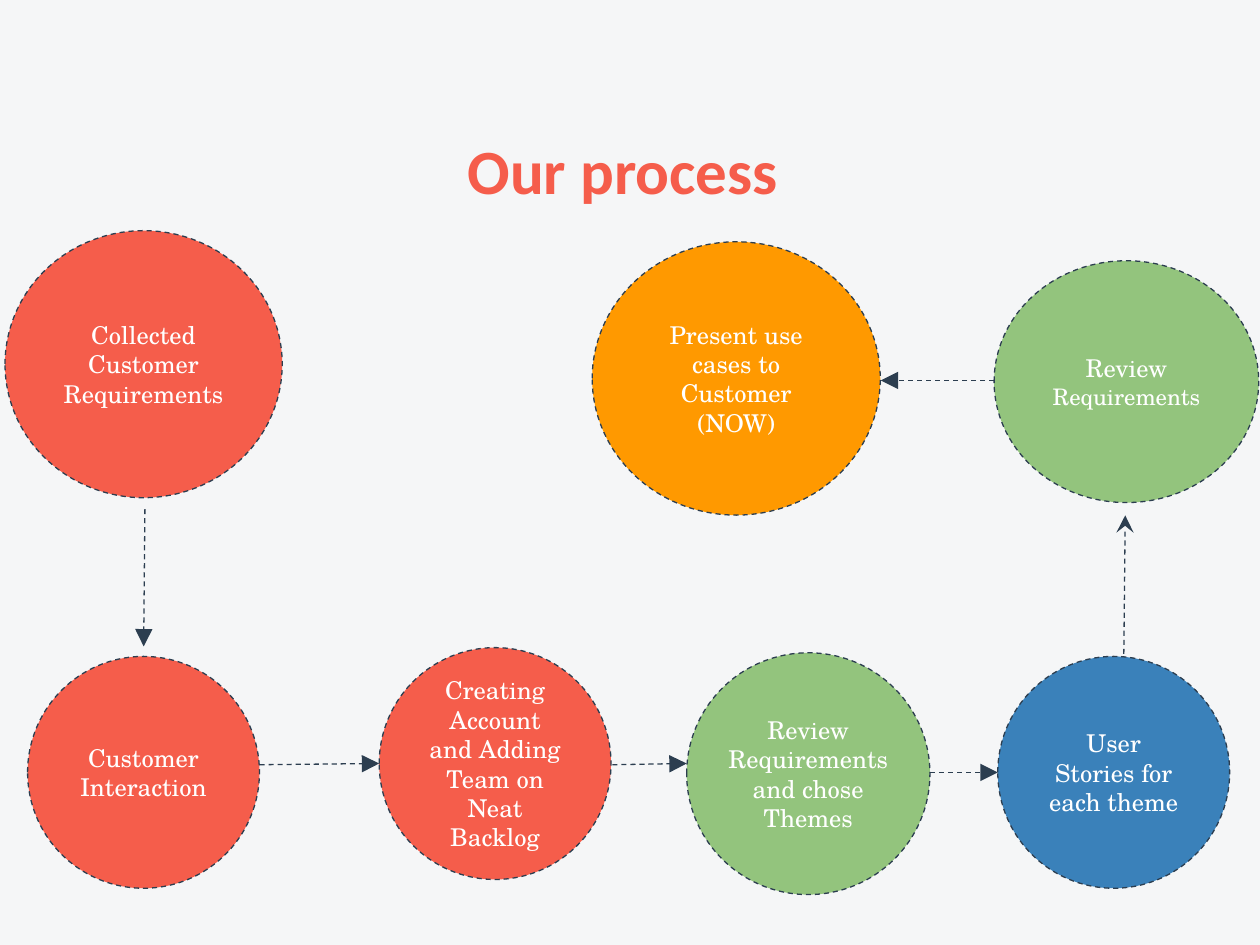
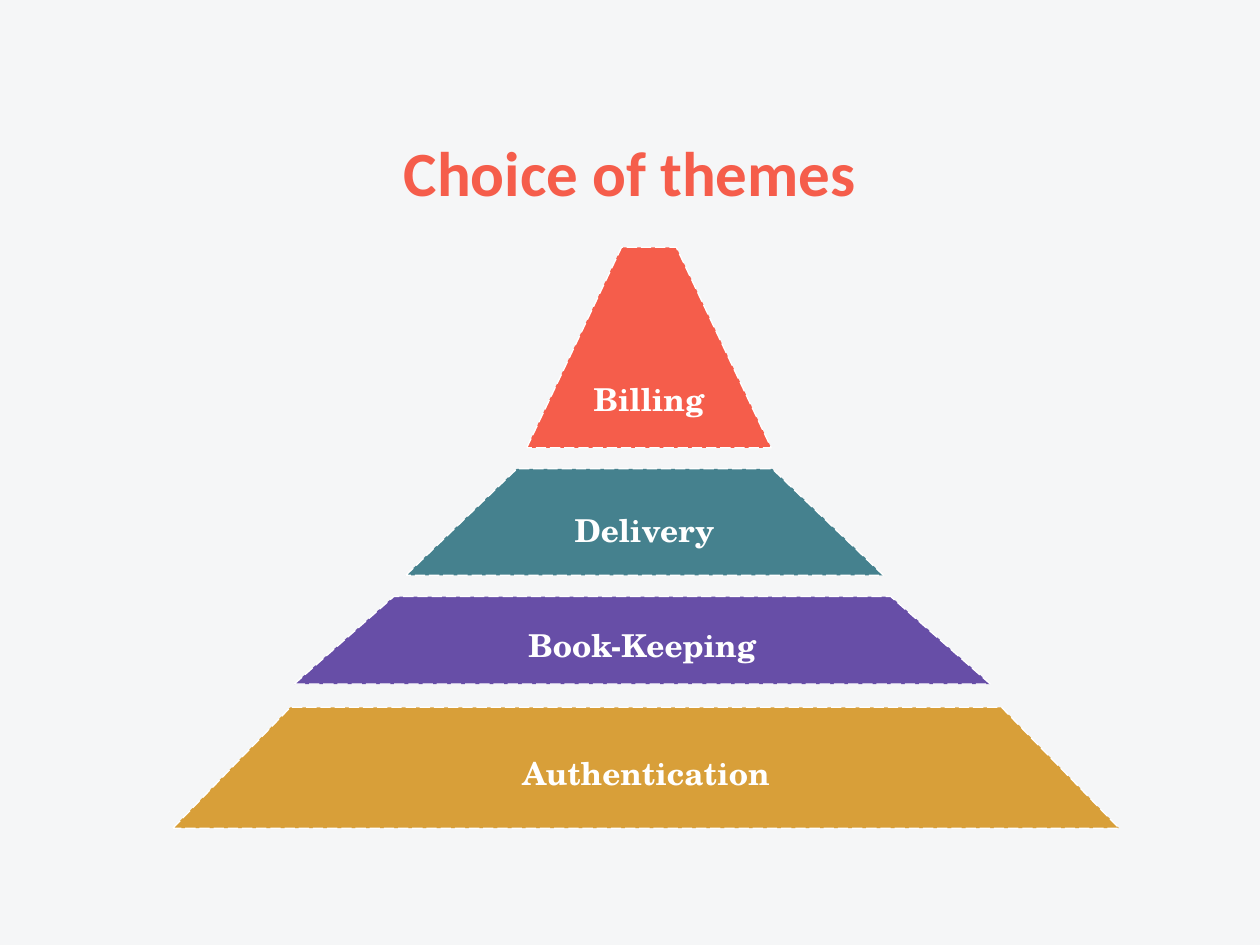
from lxml import etree
from pptx import Presentation
from pptx.dml.color import RGBColor
from pptx.enum import dml, shapes, text
from pptx.oxml import ns
from pptx.util import Pt

CORAL = RGBColor(0xF5, 0x5D, 0x4B)
ORANGE = RGBColor(0xFF, 0x99, 0x00)
GREEN = RGBColor(0x93, 0xC4, 0x7D)
BLUE = RGBColor(0x3A, 0x81, 0xBA)
GOLD = RGBColor(0xD8, 0x9F, 0x39)
PURPLE = RGBColor(0x67, 0x4E, 0xA7)
TEAL = RGBColor(0x45, 0x81, 0x8E)
NAVY = RGBColor(0x2C, 0x3E, 0x50)
WHITE = RGBColor(0xFF, 0xFF, 0xFF)
PALE = RGBColor(0xF5, 0xF6, 0xF7)

TITLE_FONT = "Calibri"
BODY_FONT = "TeX Gyre Schola"
MARGINS = (7.2, 7.2, 7.2, 7.2)  # left, top, right, bottom


class Deck:
    """Holds the shared style and the slide being built."""

    def __init__(self):
        self.presentation = Presentation()
        self.presentation.slide_width = Pt(720)
        self.presentation.slide_height = Pt(540)
        fill = self.presentation.slide_master.background.fill
        fill.solid()
        fill.fore_color.rgb = PALE
        self.slide = None

    def add_slide(self, title, top):
        layout = self.presentation.slide_layouts.get_by_name("Title Only")
        self.slide = self.presentation.slides.add_slide(layout)
        shape = self.slide.shapes.title
        shape.left, shape.top = Pt(89.3), Pt(top)
        shape.width, shape.height = Pt(541.4), Pt(61.2)
        self.add_text(shape, [[(title, 36)]], TITLE_FONT, CORAL, True,
                      text.MSO_ANCHOR.BOTTOM)

    def add_text(self, shape, paragraphs, font=BODY_FONT, color=WHITE, bold=False,
                 anchor=text.MSO_ANCHOR.MIDDLE, margins=MARGINS):
        """Fill a shape with paragraphs, each a list of (words, size) runs."""
        frame = shape.text_frame
        frame.word_wrap = True
        frame.auto_size = text.MSO_AUTO_SIZE.NONE
        frame.vertical_anchor = anchor
        (frame.margin_left, frame.margin_top,
         frame.margin_right, frame.margin_bottom) = map(Pt, margins)
        for index, runs in enumerate(paragraphs):
            paragraph = frame.add_paragraph() if index else frame.paragraphs[0]
            paragraph.alignment = text.PP_ALIGN.CENTER
            for words, size in runs:
                run = paragraph.add_run()
                run.text = words
                run.font.name = font
                run.font.size = Pt(size)
                run.font.bold = bold
                run.font.color.rgb = color

    def dash(self, line, color, style=dml.MSO_LINE.DASH):
        line.color.rgb = color
        line.width = Pt(0.75)
        line.dash_style = style

    def add_filled(self, kind, box, fill):
        shape = self.slide.shapes.add_shape(kind, *map(Pt, box))
        shape.shadow.inherit = False
        shape.fill.solid()
        shape.fill.fore_color.rgb = fill
        return shape

    def add_step(self, box, fill, paragraphs, margins=MARGINS):
        shape = self.add_filled(shapes.MSO_SHAPE.OVAL, box, fill)
        self.dash(shape.line, NAVY)
        self.add_text(shape, paragraphs, margins=margins)

    def add_tier(self, box, slant, fill, label, margins=MARGINS):
        shape = self.add_filled(shapes.MSO_SHAPE.TRAPEZOID, box, fill)
        shape.adjustments[0] = slant
        self.dash(shape.line, WHITE, dml.MSO_LINE.LONG_DASH)
        self.add_text(shape, [[(label, 18)]], bold=True, margins=margins)

    def add_arrow(self, start, end, head="triangle"):
        connector = self.slide.shapes.add_connector(
            shapes.MSO_CONNECTOR.STRAIGHT, *map(Pt, start + end))
        self.dash(connector.line, NAVY)
        properties = connector._element.spPr
        tail = etree.SubElement(properties.get_or_add_ln(), ns.qn("a:tailEnd"))
        tail.set("type", head)
        tail.set("w", "lg")
        tail.set("len", "lg")
        etree.SubElement(properties, ns.qn("a:effectLst"))


def build_process(deck):
    deck.add_slide("Our process ", 64.1)

    # Steps, in the order of the process
    deck.add_step((2.9, 131.8, 158.4, 152.6), CORAL,
                  [[("Collected Customer Requirements", 14)]])
    deck.add_step((15.8, 375.1, 132.5, 132.5), CORAL,
                  [[("Customer Interaction", 14)]])
    deck.add_step((216.7, 370.1, 132.5, 132.5), CORAL,
                  [[("Creating Account and Adding Team on Neat Backlog", 14)]])
    deck.add_step((392.4, 373, 139, 138.2), GREEN,
                  [[("Review Requirements and chose Themes", 14)]],
                  margins=(0, 7.2, 0, 7.2))
    deck.add_step((570.2, 375.1, 132.5, 132.5), BLUE,
                  [[("User Stories for each theme", 14)]])
    deck.add_step((568.1, 149, 151.2, 138.2), GREEN,
                  [[("Review ", 14), ("Requirements", 13)]])
    deck.add_step((338.4, 138.2, 164.6, 156.2), ORANGE,
                  [[("Present use cases to Customer", 14)], [("(NOW)", 14)]])

    # Arrows between the steps
    deck.add_arrow((82.8, 290.9), (82.1, 369.4))
    deck.add_arrow((148.3, 437), (216.7, 436.3))
    deck.add_arrow((349.9, 437), (392.4, 436.3))
    deck.add_arrow((531.4, 441.4), (570.2, 441.4))
    deck.add_arrow((642.2, 373.7), (643, 294.5), "stealth")
    deck.add_arrow((568.1, 217.4), (503.3, 217.4))


def build_themes(deck):
    deck.add_slide("Choice of themes", 65.5)

    # Pyramid, from base to top
    deck.add_tier((98.8, 404.2, 540.7, 69.1), 0.972, GOLD, "Authentication")
    deck.add_tier((168.2, 340.9, 397.7, 50), 1.138, PURPLE, "Book-Keeping")
    deck.add_tier((231.9, 267.9, 272.9, 60.9), 1.043, TEAL, "Delivery")
    deck.add_tier((301, 141.3, 139.7, 114.6), 0.473, CORAL, " Billing",
                  margins=(0, 7.2, 0, 0))


def main():
    deck = Deck()
    build_process(deck)
    build_themes(deck)
    deck.presentation.save("out.pptx")


if __name__ == "__main__":
    main()
